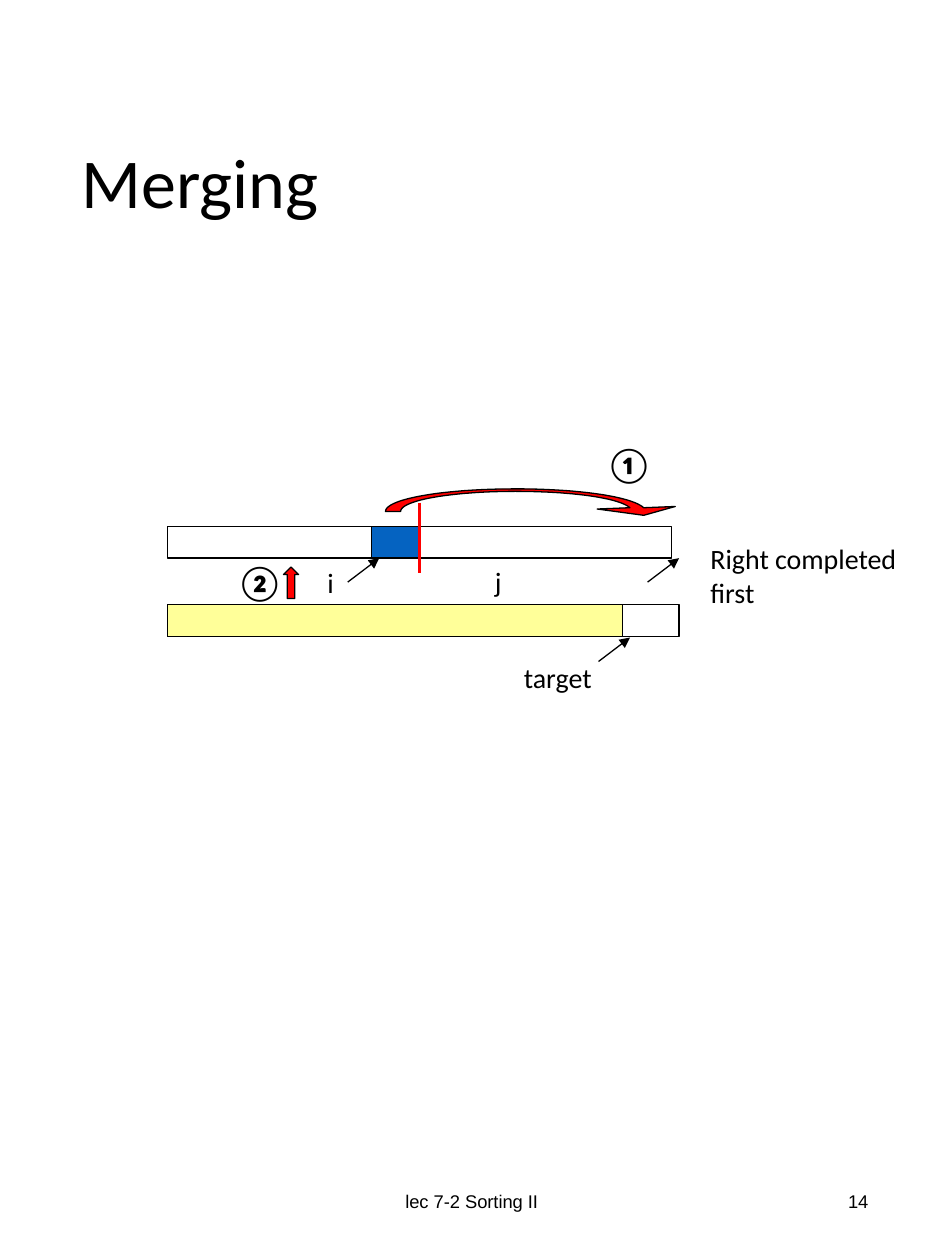
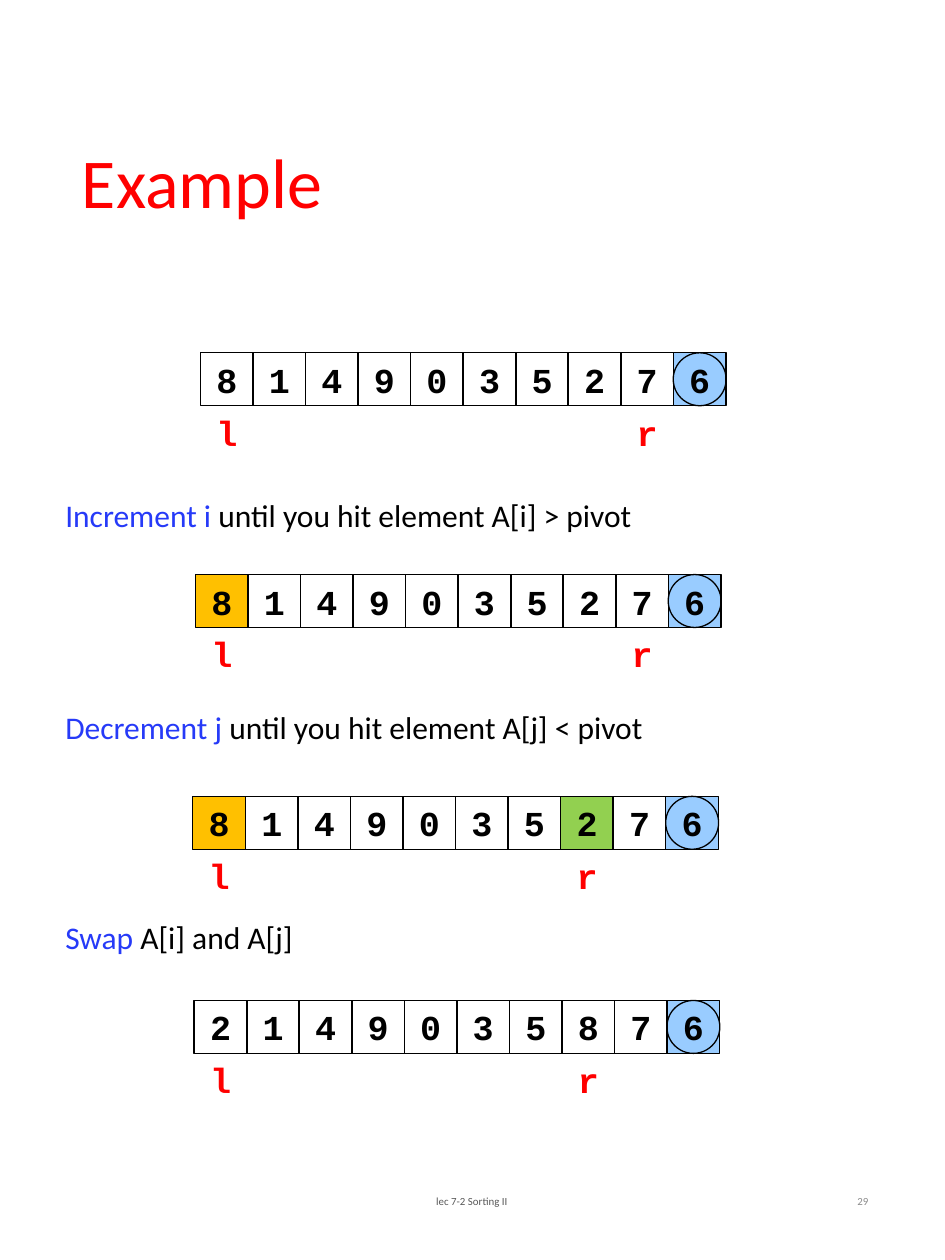
from lxml.etree import SubElement
from pptx import Presentation
from pptx.dml.color import RGBColor
from pptx.enum.shapes import MSO_CONNECTOR, MSO_SHAPE
from pptx.enum.text import MSO_ANCHOR, MSO_AUTO_SIZE, PP_ALIGN
from pptx.oxml.ns import qn
from pptx.util import Inches, Pt

BLACK = RGBColor(0x00, 0x00, 0x00)
RED = RGBColor(0xFF, 0x00, 0x00)
BLUE = RGBColor(0x05, 0x63, 0xC1)
YELLOW = RGBColor(0xFF, 0xFF, 0x99)
SKY = RGBColor(0x99, 0xCC, 0xFF)
GOLD = RGBColor(0xFF, 0xC0, 0x00)
GREEN = RGBColor(0x92, 0xD0, 0x50)
INDIGO = RGBColor(0x26, 0x3A, 0xF8)
DARK = RGBColor(0x59, 0x59, 0x59)
GREY = RGBColor(0x8C, 0x8C, 0x8C)

TITLE = {"name": "Calibri", "size": Pt(40)}
BODY = {"name": "Calibri", "size": Pt(18)}
LABEL = {"name": "Calibri", "size": Pt(16)}
STEP = {"name": "Calibri", "size": Pt(20), "bold": True}
CODE = {"name": "Courier New", "size": Pt(20), "bold": True}
LARGE = {"name": "Arial", "size": Pt(10.5)}
SMALL = {"name": "Calibri", "size": Pt(6.2)}

CELL = 0.42
PITCH = 4.17 / 10
BAR = 0.25


def place(box):
    return [Inches(v) for v in box]


def set_all(item, values):
    for key, value in values.items():
        setattr(item, key, value)


def write(frame, lines, look, align=PP_ALIGN.LEFT, **form):
    set_all(frame, form)
    for i, line in enumerate(lines):
        para = frame.paragraphs[0] if i == 0 else frame.add_paragraph()
        para.alignment = align
        for text, color in line:
            run = para.add_run()
            run.text = text
            set_all(run.font, look)
            run.font.color.rgb = color


def add_text(slide, box, lines, look, align=PP_ALIGN.LEFT, **form):
    frame = slide.shapes.add_textbox(*place(box)).text_frame
    write(frame, lines, look, align, **form)


def paint(shape, fill=None):
    shape.shadow.inherit = False
    if fill is None:
        shape.fill.background()
    else:
        shape.fill.solid()
        shape.fill.fore_color.rgb = fill
    shape.line.color.rgb = BLACK
    shape.line.width = Pt(0.75)
    return shape


def add_box(slide, box, fill=None, kind=MSO_SHAPE.RECTANGLE):
    return paint(slide.shapes.add_shape(kind, *place(box)), fill)


def add_line(slide, ends, color=BLACK, width=0.75, head=True):
    link = slide.shapes.add_connector(MSO_CONNECTOR.STRAIGHT, *place(ends))
    link.line.color.rgb = color
    link.line.width = Pt(width)
    if head:
        SubElement(link.get_or_add_ln(), qn("a:tailEnd"), type="triangle")
    SubElement(link.element.spPr, qn("a:effectLst"))


def add_slide(deck, title, color, number, look, inks):
    slide = deck.slides.add_slide(deck.slide_layouts[5])
    head = slide.shapes.title
    spot = dict(zip(("left", "top", "width", "height"),
                    place((0.55, 0.51, 6.47, 1.93))))
    set_all(head, spot)
    write(head.text_frame, [[(title, color)]], TITLE,
          vertical_anchor=MSO_ANCHOR.MIDDLE, auto_size=MSO_AUTO_SIZE.NONE)
    head.text_frame.paragraphs[0].line_spacing = 0.9
    feet = (((2.48, 9.27, 2.53, 0.53), "lec 7-2 Sorting II", PP_ALIGN.CENTER),
            ((5.3, 9.27, 1.69, 0.53), number, PP_ALIGN.RIGHT))
    for (box, text, align), ink in zip(feet, inks):
        add_text(slide, box, [[(text, ink)]], look, align,
                 word_wrap=True, vertical_anchor=MSO_ANCHOR.MIDDLE)
    return slide


def curve(start, one, two, end, count=24):
    for i in range(1, count + 1):
        t = i / count
        u = 1 - t
        yield tuple(u**3 * a + 3 * u * u * t * b + 3 * u * t * t * c + t**3 * d
                    for a, b, c, d in zip(start, one, two, end))


def add_arc(slide, x, y):
    tip = (3.67, -0.15)
    crown, base = (2.76, -0.28), (1.85, -0.12)
    foot, top, neck = (1.73, -0.12), (2.76, -0.3), (3.78, -0.15)
    points = [*curve(tip, (3.58, -0.23), (3.2, -0.28), crown),
              *curve(crown, (2.26, -0.28), (1.85, -0.21), base), foot,
              *curve(foot, (1.73, -0.22), (2.19, -0.3), top),
              *curve(top, (3.26, -0.3), (3.68, -0.24), neck),
              (4.03, -0.16), (3.78, -0.09), (3.41, -0.14)]
    spots = [place((x + a, y + b)) for a, b in points]
    path = slide.shapes.build_freeform(*place((x + tip[0], y + tip[1])))
    path.add_line_segments(spots, close=True)
    paint(path.convert_to_shape(), RED)


def add_merge(slide, x, y):
    low = 0.62
    bars = ((0, 0, 2, None), (2, 0, 2, None), (0, low, 4.06, None),
            (1.62, 0, 0.38, BLUE), (0, low, 3.61, YELLOW))
    for left, top, width, fill in bars:
        add_box(slide, (x + left, y + top, width, BAR), fill)
    add_line(slide, (x + 2, y - 0.19, x + 2, y + 0.37), RED, 1.5, False)
    for left, top in ((1.43, 0.44), (3.42, 1.07), (3.81, 0.44)):
        add_line(slide, (x + left, y + top, x + left + 0.25, y + top - 0.19))
    notes = ((1.17, 0.26, 0.27, 0.37, ["i"], LABEL),
             (2.5, 0.25, 0.27, 0.37, ["j"], LABEL),
             (2.73, 1.01, 0.84, 0.37, ["target"], LABEL),
             (4.21, 0.07, 1.91, 0.91, ["Right completed", "first"], LABEL),
             (0.45, 0.22, 0.51, 0.44, ["②"], STEP),
             (3.38, -0.72, 0.46, 0.44, ["①"], STEP))
    for left, top, width, height, lines, look in notes:
        add_text(slide, (x + left, y + top, width, height),
                 [[(line, BLACK)] for line in lines], look,
                 word_wrap=look is STEP)
    add_box(slide, (x + 0.92, y + 0.32, 0.12, BAR), RED, MSO_SHAPE.UP_ARROW)
    add_arc(slide, x, y)


def add_row(slide, x, y, digits, right, fills):
    form = {"word_wrap": False, "vertical_anchor": MSO_ANCHOR.MIDDLE}
    last = len(digits) - 1
    fills = {last: SKY, **fills}
    for i, digit in enumerate(digits):
        cell = add_box(slide, (x + i * PITCH, y, CELL, CELL), fills.get(i))
        write(cell.text_frame, [[(digit, BLACK)]], CODE,
              PP_ALIGN.CENTER, **form)
    add_box(slide, (x + last * PITCH, y, CELL, CELL), kind=MSO_SHAPE.OVAL)
    for i, mark in ((0, "l"), (right, "r")):
        add_text(slide, (x + i * PITCH, y + CELL, CELL, CELL),
                 [[(mark, RED)]], CODE, PP_ALIGN.CENTER, **form)


def main():
    deck = Presentation()
    deck.slide_width, deck.slide_height = place((7.5, 10))

    merge = add_slide(deck, "Merging", BLACK, "14", LARGE, (BLACK, BLACK))
    add_merge(merge, 1.33, 4.18)

    sample = add_slide(deck, "Example", RED, "29", SMALL, (DARK, GREY))
    rows = ((1.59, 2.8, "8149035276", 8, {}),
            (1.55, 4.56, "8149035276", 8, {0: GOLD}),
            (1.53, 6.32, "8149035276", 7, {0: GOLD, 7: GREEN}),
            (1.54, 7.94, "2149035876", 7, {}))
    for row in rows:
        add_row(sample, *row)
    steps = ((3.89, "Increment i", " until you hit element A[i] > pivot"),
             (5.57, "Decrement j ", "until you hit element A[j] < pivot"),
             (7.24, "Swap", " A[i] and A[j]"))
    for top, verb, rest in steps:
        add_text(sample, (0.42, top, 5.9, 0.4),
                 [[(verb, INDIGO), (rest, BLACK)]], BODY, word_wrap=True)

    deck.save("out.pptx")


if __name__ == "__main__":
    main()
